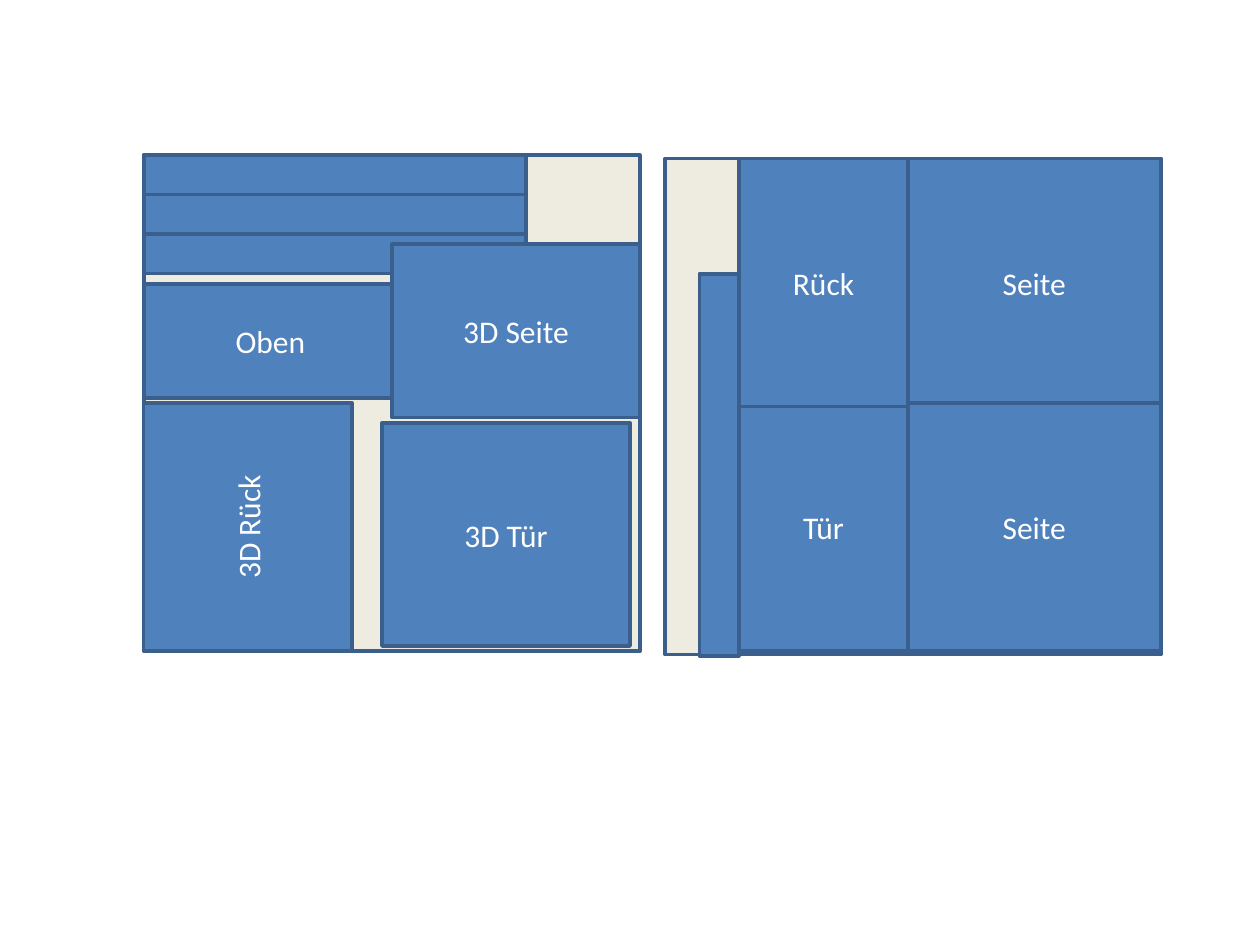
from dataclasses import dataclass

from pptx import Presentation
from pptx.dml.color import RGBColor
from pptx.enum.shapes import MSO_SHAPE
from pptx.enum.text import MSO_ANCHOR, PP_ALIGN
from pptx.slide import Slide
from pptx.util import Pt

RECTANGLE = MSO_SHAPE.RECTANGLE
MIDDLE = MSO_ANCHOR.MIDDLE
CENTER = PP_ALIGN.CENTER

BOARD_FILL = RGBColor(0xEE, 0xEC, 0xE1)
PANEL_FILL = RGBColor(0x4F, 0x81, 0xBD)
OUTLINE = RGBColor(0x3A, 0x5F, 0x8C)
LABEL_COLOR = RGBColor(0xFF, 0xFF, 0xFF)
BLANK_LAYOUT = 6


@dataclass(frozen=True)
class Panel:
    """A cut piece, measured in points before it is rotated."""
    left: float
    top: float
    width: float
    height: float
    label: str = ""
    rotation: float = 0
    fill: RGBColor = PANEL_FILL


def draw_panel(slide: Slide, panel: Panel) -> None:
    """Draw one outlined panel with its centred label."""
    piece = slide.shapes.add_shape(
        RECTANGLE, Pt(panel.left), Pt(panel.top), Pt(panel.width), Pt(panel.height))
    piece.rotation = panel.rotation
    piece.shadow.inherit = False
    piece.fill.solid()
    piece.fill.fore_color.rgb = panel.fill
    piece.line.color.rgb = OUTLINE
    piece.line.width = Pt(2)
    if panel.label:
        piece.text_frame.vertical_anchor = MIDDLE
        paragraph = piece.text_frame.paragraphs[0]
        paragraph.text = panel.label
        paragraph.alignment = CENTER
        paragraph.font.name = "Calibri"
        paragraph.font.size = Pt(18)
        paragraph.font.color.rgb = LABEL_COLOR


BOARD = 283.5
LEFT_X, LEFT_Y = 82.2, 88.6
RIGHT_X, RIGHT_Y = 380, 90.5
STRIP_WIDTH, STRIP_HEIGHT = 218.3, 22.6
SIDE_WIDTH, PIECE_HEIGHT = 144.6, 141.7
DOOR_WIDTH = 96.4
DOOR_X, SIDE_X = 422.4, 518.7
LOWER_Y = 230.2

boards = [Panel(x, y, BOARD, BOARD, fill=BOARD_FILL)
          for x, y in ((LEFT_X, LEFT_Y), (RIGHT_X, RIGHT_Y))]
strips = [Panel(LEFT_X, LEFT_Y + row * STRIP_HEIGHT, STRIP_WIDTH, STRIP_HEIGHT)
          for row in reversed(range(3))]
upright_strip = Panel(301.8, 254.3, STRIP_WIDTH, STRIP_HEIGHT, rotation=270)
pieces = [
    Panel(DOOR_X, LOWER_Y, DOOR_WIDTH, PIECE_HEIGHT, "Tür"),
    Panel(SIDE_X, RIGHT_Y, SIDE_WIDTH, PIECE_HEIGHT, "Seite"),
    Panel(SIDE_X, LOWER_Y, SIDE_WIDTH, PIECE_HEIGHT, "Seite"),
    Panel(LEFT_X, 162.2, SIDE_WIDTH, 65.2, "Oben"),
    Panel(DOOR_X, RIGHT_Y, DOOR_WIDTH, PIECE_HEIGHT, "Rück"),
    Panel(224, 139.5, PIECE_HEIGHT, 99.2, "3D Seite"),
    Panel(218.3, 241.6, PIECE_HEIGHT, 127.6, "3D Tür"),
    Panel(70.8, 241.6, PIECE_HEIGHT, 119, "3D Rück", rotation=270),
]

prs = Presentation()
prs.slide_width, prs.slide_height = Pt(720), Pt(540)
cutting_plan = prs.slides.add_slide(prs.slide_layouts[BLANK_LAYOUT])
for part in [*boards, *strips, upright_strip, *pieces]:
    draw_panel(cutting_plan, part)
prs.save("out.pptx")
